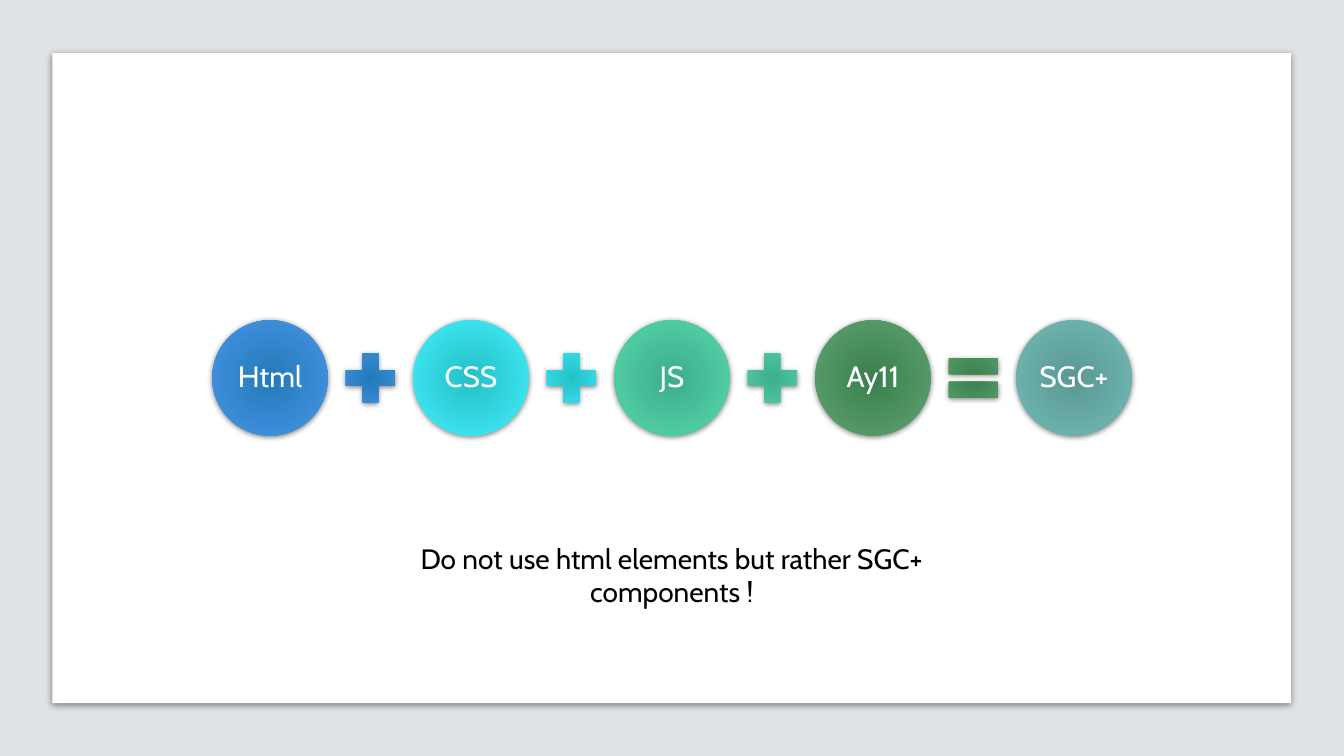
from lxml.etree import SubElement
from pptx import Presentation
from pptx.dml.color import RGBColor
from pptx.enum.shapes import MSO_SHAPE as Preset
from pptx.enum.text import MSO_ANCHOR as Anchor, MSO_AUTO_SIZE as AutoSize, PP_ALIGN as Align
from pptx.oxml.ns import qn
from pptx.util import Cm, Pt

FONT = "Cabin"
WIDTH, HEIGHT = Cm(33.87), Cm(19.05)
COLORS = {
    "backdrop": "DFE3E5",
    "white": "FFFFFF",
    "black": "000000",
    "blue": ("237AB8", "4895E7"),
    "cyan": ("24C0C8", "44EEFA"),
    "mint": ("3DAD8D", "57D8AC"),
    "green": ("3A7F4D", "5FA56F"),
    "teal": ("5B9894", "72BBB6"),
}
TERMS = [
    ("Html", "blue", Preset.MATH_PLUS),
    ("CSS", "cyan", Preset.MATH_PLUS),
    ("JS", "mint", Preset.MATH_PLUS),
    ("Ay11", "green", Preset.MATH_EQUAL),
    ("SGC+", "teal", None),
]


def add_shadow(shape, opacity, blur, distance):
    """Give the shape a soft shadow that falls straight down."""
    shape.shadow.inherit = False
    effects = shape._element.spPr.find(qn("a:effectLst"))
    shadow = SubElement(effects, qn("a:outerShdw"), blurRad=str(Pt(blur)), dist=str(Pt(distance)),
                        dir="5400000", algn="ctr", rotWithShape="0")
    color = SubElement(shadow, qn("a:srgbClr"), val=COLORS["black"])
    SubElement(color, qn("a:alpha"), val=str(opacity * 1000))


def fill_radial(shape, color_name):
    """Fill the shape with a circular gradient from the centre outwards."""
    shape.fill.gradient()
    for stop, color in zip(shape.fill.gradient_stops, COLORS[color_name]):
        stop.color.rgb = RGBColor.from_string(color)
    gradient = shape._element.spPr.find(qn("a:gradFill"))
    gradient.remove(gradient.find(qn("a:lin")))
    circle = SubElement(gradient, qn("a:path"), path="circle")
    SubElement(circle, qn("a:fillToRect"), l="100000", t="100000", r="100000", b="100000")


def format_text(paragraph, size, color_name):
    """Centre the paragraph and set its font."""
    paragraph.alignment = Align.CENTER
    for run in paragraph.runs:
        run.font.name = FONT
        run.font.size = Pt(size)
        run.font.color.rgb = RGBColor.from_string(COLORS[color_name])


def add_panel(slide, left, top, width, height, color_name):
    """Add a plain rectangle without outline."""
    panel = slide.shapes.add_shape(Preset.RECTANGLE, left, top, width, height)
    panel.shadow.inherit = False
    panel.fill.solid()
    panel.fill.fore_color.rgb = RGBColor.from_string(COLORS[color_name])
    panel.line.fill.background()
    return panel


def add_symbol(group, preset, left, top, size, color_name):
    """Add a square, shaded gradient shape to the equation."""
    symbol = group.shapes.add_shape(preset, left, top, size, size)
    fill_radial(symbol, color_name)
    symbol.line.fill.background()
    add_shadow(symbol, 50, 4, 1)
    return symbol


def add_equation(slide, left, top, width, height):
    """Spread the circled terms over the box with an operator in each gap."""
    group = slide.shapes.add_group_shape()
    operator_size = Cm(1.68)
    pitch = (width - height) // (len(TERMS) - 1)
    operator_left = (pitch + height - operator_size) // 2
    operator_top = top + (height - operator_size) // 2
    for index, (label, color_name, operator) in enumerate(TERMS):
        term_left = left + index * pitch
        circle = add_symbol(group, Preset.OVAL, term_left, top, height, color_name)
        frame = circle.text_frame
        frame.text = label
        frame.word_wrap = True
        frame.vertical_anchor = Anchor.MIDDLE
        frame.margin_left = frame.margin_right = frame.margin_top = frame.margin_bottom = Cm(0.07)
        frame.paragraphs[0].line_spacing = 0.9
        format_text(frame.paragraphs[0], 21, "white")
        if operator is not None:
            add_symbol(group, operator, term_left + operator_left, operator_top,
                       operator_size, color_name)


def add_advice(slide, left, top, width, height):
    """Add the closing sentence below the equation."""
    frame = slide.shapes.add_textbox(left, top, width, height).text_frame
    frame.text = "Do not use html elements but rather SGC+ components !"
    frame.word_wrap = True
    frame.auto_size = AutoSize.SHAPE_TO_FIT_TEXT
    frame.paragraphs[0].space_after = Pt(6)
    format_text(frame.paragraphs[0], 20, "black")


def main():
    """Build the slide and save it."""
    presentation = Presentation()
    presentation.slide_width, presentation.slide_height = WIDTH, HEIGHT
    slide = presentation.slides.add_slide(presentation.slide_layouts[6])
    add_panel(slide, 0, 0, WIDTH, HEIGHT, "backdrop")
    card = add_panel(slide, Cm(1.32), Cm(1.34), Cm(31.22), Cm(16.38), "white")
    add_shadow(card, 43, 5, 1.4)
    add_equation(slide, Cm(5.35), Cm(8.07), Cm(23.17), Cm(2.91))
    add_advice(slide, Cm(8.23), Cm(13.51), Cm(17.4), Cm(1.12))
    presentation.save("out.pptx")


if __name__ == "__main__":
    main()
